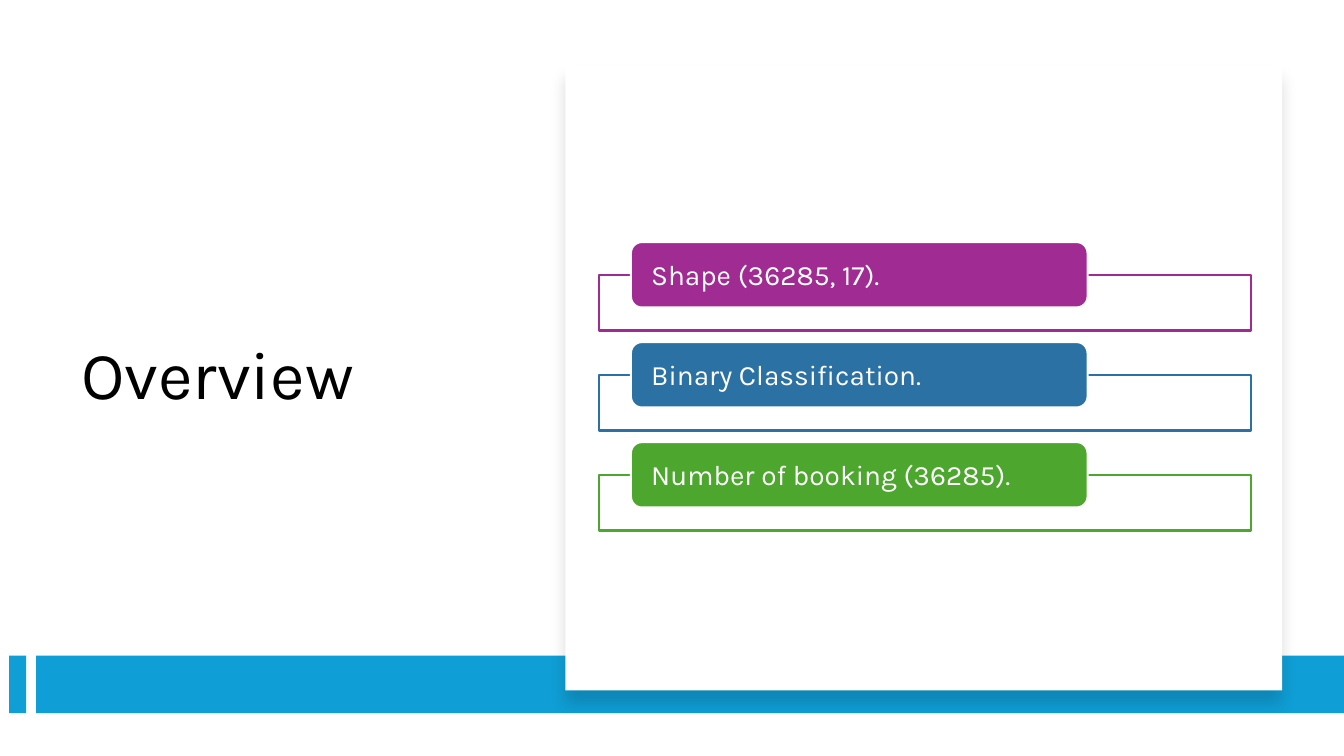
from lxml import etree
from pptx import Presentation
from pptx import util as u
from pptx.dml import color as col
from pptx.enum import shapes, text
from pptx.oxml import ns

HUES = {
    "bar": "0F9ED5",
    "white": "FFFFFF",
    "black": "000000",
    "plum": "A02B93",
    "blue": "2C71A4",
    "green": "4DA72E",
}
FONT = "Karla"
ROWS = [
    ("Shape (36285, 17).", "plum"),
    ("Binary Classification.", "blue"),
    ("Number of booking (36285).", "green"),
]
TOP = 6.1
STEP = 2.52


def rgb(hue):
    return col.RGBColor.from_string(HUES[hue])


def place(item, box):
    item.left, item.top, item.width, item.height = map(u.Cm, box)


def write(item, words, size, hue, pad=0.25, edge=0.13, lead=1.0, after=0):
    frame = item.text_frame
    frame.word_wrap = True
    frame.auto_size = text.MSO_AUTO_SIZE.NONE
    frame.vertical_anchor = text.MSO_ANCHOR.MIDDLE
    frame.margin_left = frame.margin_right = u.Cm(pad)
    frame.margin_top = frame.margin_bottom = u.Cm(edge)
    para = frame.paragraphs[0]
    para.alignment = text.PP_ALIGN.LEFT
    para.line_spacing = lead
    para.space_after = u.Pt(after)
    run = para.add_run()
    run.text = words
    run.font.name = FONT
    run.font.size = u.Pt(size)
    run.font.color.rgb = rgb(hue)


def block(slide, box, fill, line=None, kind=shapes.MSO_SHAPE.RECTANGLE):
    item = slide.shapes.add_shape(kind, *map(u.Cm, box))
    item.shadow.inherit = False
    item.fill.solid()
    item.fill.fore_color.rgb = rgb(fill)
    if line:
        item.line.color.rgb = rgb(line)
        item.line.width = u.Pt(1.5)
    else:
        item.line.fill.background()
    return item


def tint(node, part):
    etree.SubElement(node, ns.qn("a:alpha"), val=str(part * 1000))


def shade(item):
    list_ = item._element.spPr.find(ns.qn("a:effectLst"))
    cast = etree.SubElement(
        list_, ns.qn("a:outerShdw"), blurRad=str(u.Pt(11)),
        dist=str(u.Pt(10)), dir="5400000", algn="t", rotWithShape="0")
    tone = etree.SubElement(cast, ns.qn("a:srgbClr"), val=HUES["black"])
    tint(tone, 15)


def row(slide, top, words, hue):
    frame = block(slide, (15.09, top + 0.83, 16.43, 1.4), "white", hue)
    tint(frame._element.spPr.find(ns.qn("a:solidFill"))[0], 90)
    pill = block(slide, (15.9, top, 11.51, 1.65), hue, "white",
                 shapes.MSO_SHAPE.ROUNDED_RECTANGLE)
    write(pill, words, 20, "white", pad=0.43, edge=0, after=7)


def main():
    deck = Presentation()
    deck.slide_width, deck.slide_height = u.Cm(33.87), u.Cm(19.05)
    slide = deck.slides.add_slide(deck.slide_layouts[5])
    title = slide.shapes.title
    place(title, (1.8, 3.05, 10.54, 12.95))
    write(title, "Overview", 48, "black", lead=0.9)

    for left, wide in ((0.23, 0.43), (0.91, 32.96)):
        block(slide, (left, 16.52, wide, 1.45), "bar")
    shade(block(slide, (14.25, 1.63, 18.06, 15.77), "white"))

    for i, (words, hue) in enumerate(ROWS):
        row(slide, TOP + i * STEP, words, hue)
    deck.save("out.pptx")


if __name__ == "__main__":
    main()
